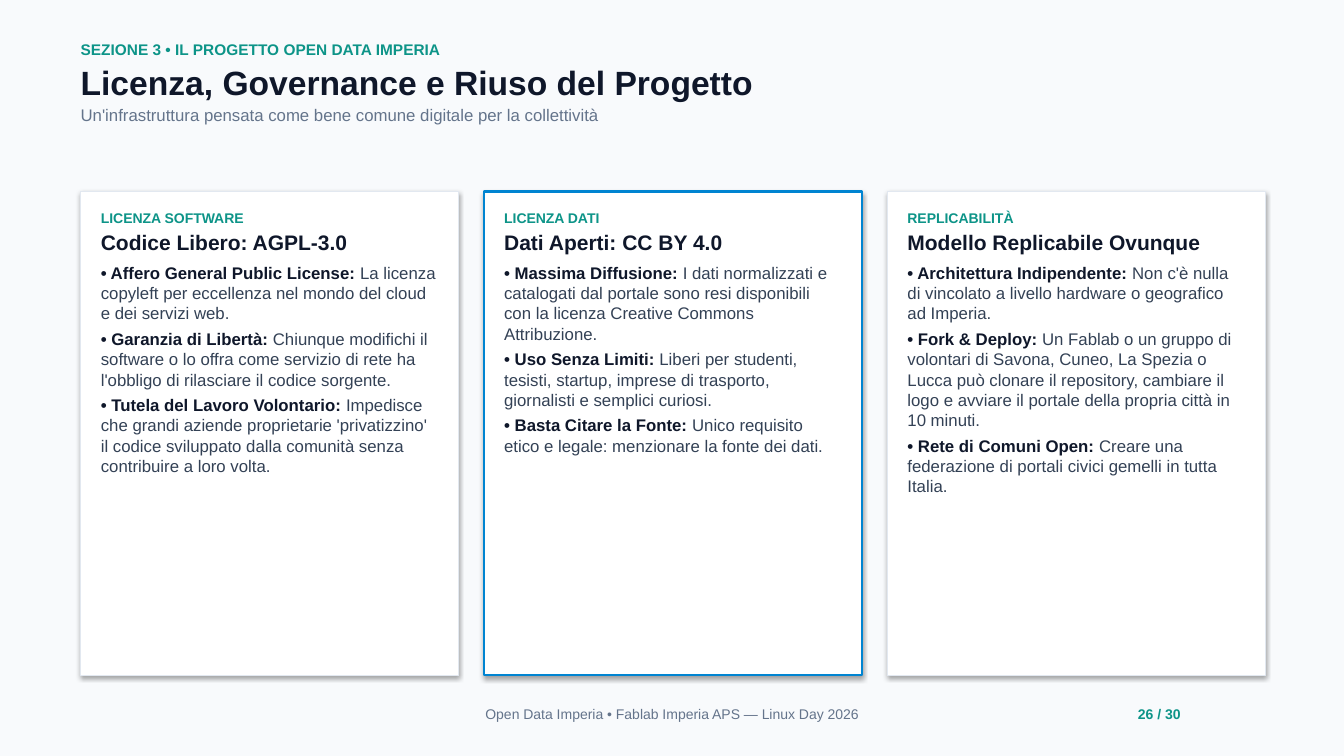
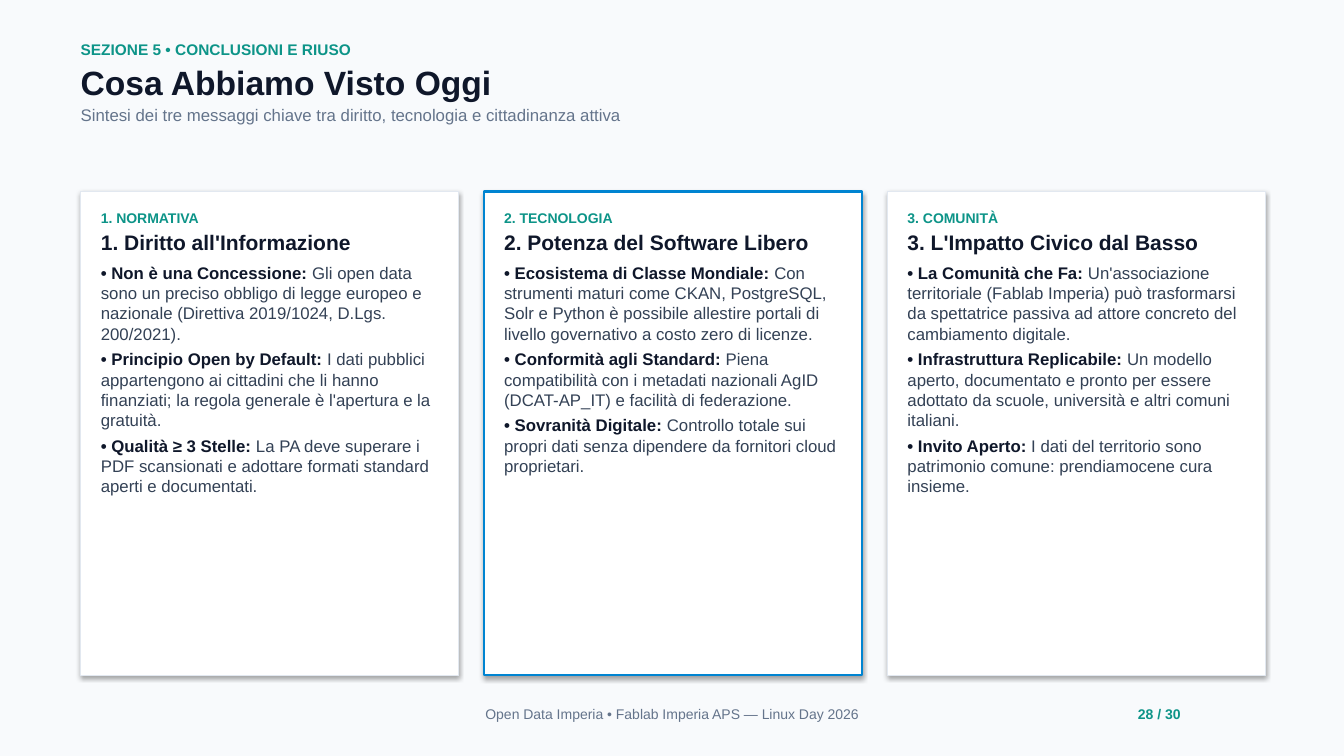
from pptx import Presentation
from pptx.dml.color import RGBColor
from pptx.enum.shapes import MSO_SHAPE
from pptx.enum.text import MSO_AUTO_SIZE, PP_ALIGN
from pptx.util import Inches, Pt

RECT = MSO_SHAPE.RECTANGLE
GROW = MSO_AUTO_SIZE.SHAPE_TO_FIT_TEXT
LEFT, CENTER, RIGHT = PP_ALIGN.LEFT, PP_ALIGN.CENTER, PP_ALIGN.RIGHT

PAPER = RGBColor(0xF8, 0xFA, 0xFC)
WHITE = RGBColor(0xFF, 0xFF, 0xFF)
TEAL = RGBColor(0x0D, 0x94, 0x88)
INK = RGBColor(0x0F, 0x17, 0x2A)
SLATE = RGBColor(0x33, 0x41, 0x55)
MUTED = RGBColor(0x64, 0x74, 0x8B)
BORDER = RGBColor(0xE2, 0xE8, 0xF0)
BLUE = RGBColor(0x00, 0x84, 0xD1)

FONT = "Arial"
STYLES = {
    "section": {"size": Pt(11), "bold": True, "color": TEAL},
    "title": {"size": Pt(24), "bold": True, "color": INK},
    "subtitle": {"size": Pt(12), "bold": False, "color": MUTED},
    "tag": {"size": Pt(10), "bold": True, "color": TEAL},
    "heading": {"size": Pt(15), "bold": True, "color": INK},
    "lead": {"size": Pt(12), "bold": True, "color": INK},
    "body": {"size": Pt(12), "bold": False, "color": SLATE},
    "footer": {"size": Pt(10), "bold": False, "color": MUTED},
    "page": {"size": Pt(10), "bold": True, "color": TEAL},
}

SLIDE_W, SLIDE_H = 13.33, 7.5
MARGIN = 0.8
CARD_TOP, CARD_W, CARD_H, CARD_GAP = 1.9, 3.75, 4.8, 0.25
PAD_X, PAD_Y = 0.2, 0.18
FOOTER_W, PAGE_W, PAGE_RIGHT = 4.2, 0.8, 11.71
FOOTER = "Open Data Imperia • Fablab Imperia APS — Linux Day 2026"
TOTAL = 30

SLIDES = [
    {
        "page": 26,
        "section": "SEZIONE 3 • IL PROGETTO OPEN DATA IMPERIA",
        "title": "Licenza, Governance e Riuso del Progetto",
        "subtitle": "Un'infrastruttura pensata come bene comune digitale per la collettività",
        "cards": [
            ("LICENZA SOFTWARE", "Codice Libero: AGPL-3.0", [
                ("Affero General Public License",
                 "La licenza copyleft per eccellenza nel mondo del cloud e dei servizi web."),
                ("Garanzia di Libertà",
                 "Chiunque modifichi il software o lo offra come servizio di rete ha "
                 "l'obbligo di rilasciare il codice sorgente."),
                ("Tutela del Lavoro Volontario",
                 "Impedisce che grandi aziende proprietarie 'privatizzino' il codice "
                 "sviluppato dalla comunità senza contribuire a loro volta."),
            ]),
            ("LICENZA DATI", "Dati Aperti: CC BY 4.0", [
                ("Massima Diffusione",
                 "I dati normalizzati e catalogati dal portale sono resi disponibili "
                 "con la licenza Creative Commons Attribuzione."),
                ("Uso Senza Limiti",
                 "Liberi per studenti, tesisti, startup, imprese di trasporto, "
                 "giornalisti e semplici curiosi."),
                ("Basta Citare la Fonte",
                 "Unico requisito etico e legale: menzionare la fonte dei dati."),
            ]),
            ("REPLICABILITÀ", "Modello Replicabile Ovunque", [
                ("Architettura Indipendente",
                 "Non c'è nulla di vincolato a livello hardware o geografico ad Imperia."),
                ("Fork & Deploy",
                 "Un Fablab o un gruppo di volontari di Savona, Cuneo, La Spezia o Lucca "
                 "può clonare il repository, cambiare il logo e avviare il portale della "
                 "propria città in 10 minuti."),
                ("Rete di Comuni Open",
                 "Creare una federazione di portali civici gemelli in tutta Italia."),
            ]),
        ],
    },
    {
        "page": 28,
        "section": "SEZIONE 5 • CONCLUSIONI E RIUSO",
        "title": "Cosa Abbiamo Visto Oggi",
        "subtitle": "Sintesi dei tre messaggi chiave tra diritto, tecnologia e cittadinanza attiva",
        "cards": [
            ("1. NORMATIVA", "1. Diritto all'Informazione", [
                ("Non è una Concessione",
                 "Gli open data sono un preciso obbligo di legge europeo e nazionale "
                 "(Direttiva 2019/1024, D.Lgs. 200/2021)."),
                ("Principio Open by Default",
                 "I dati pubblici appartengono ai cittadini che li hanno finanziati; "
                 "la regola generale è l'apertura e la gratuità."),
                ("Qualità ≥ 3 Stelle",
                 "La PA deve superare i PDF scansionati e adottare formati standard "
                 "aperti e documentati."),
            ]),
            ("2. TECNOLOGIA", "2. Potenza del Software Libero", [
                ("Ecosistema di Classe Mondiale",
                 "Con strumenti maturi come CKAN, PostgreSQL, Solr e Python è possibile "
                 "allestire portali di livello governativo a costo zero di licenze."),
                ("Conformità agli Standard",
                 "Piena compatibilità con i metadati nazionali AgID (DCAT-AP_IT) e "
                 "facilità di federazione."),
                ("Sovranità Digitale",
                 "Controllo totale sui propri dati senza dipendere da fornitori cloud "
                 "proprietari."),
            ]),
            ("3. COMUNITÀ", "3. L'Impatto Civico dal Basso", [
                ("La Comunità che Fa",
                 "Un'associazione territoriale (Fablab Imperia) può trasformarsi da "
                 "spettatrice passiva ad attore concreto del cambiamento digitale."),
                ("Infrastruttura Replicabile",
                 "Un modello aperto, documentato e pronto per essere adottato da scuole, "
                 "università e altri comuni italiani."),
                ("Invito Aperto",
                 "I dati del territorio sono patrimonio comune: prendiamocene cura insieme."),
            ]),
        ],
    },
]


def add_text(s, x, y, w, h, paragraphs, align=LEFT):
    tf = s.shapes.add_textbox(Inches(x), Inches(y), Inches(w), Inches(h)).text_frame
    frame = {"word_wrap": True, "auto_size": GROW, "margin_left": 0,
             "margin_right": 0, "margin_top": 0, "margin_bottom": 0}
    for name, value in frame.items():
        setattr(tf, name, value)
    for i, (after, runs) in enumerate(paragraphs):
        p = tf.add_paragraph() if i else tf.paragraphs[0]
        p.alignment = align
        p.space_after = Pt(after)
        for text, style in runs:
            r = p.add_run()
            r.text = text
            r.font.name = FONT
            for name, value in STYLES[style].items():
                if name == "color":
                    r.font.color.rgb = value
                else:
                    setattr(r.font, name, value)


def add_header(s, x, y, w, content):
    add_text(s, x, y, w, 0.84, [
        (after, [(content[style], style)])
        for style, after in (("section", 2), ("title", 2), ("subtitle", 0))
    ])


def add_card(s, x, y, w, h, card, highlighted):
    sp = s.shapes.add_shape(RECT, Inches(x), Inches(y), Inches(w), Inches(h))
    sp.fill.solid()
    sp.fill.fore_color.rgb = WHITE
    sp.line.color.rgb = BLUE if highlighted else BORDER
    sp.line.width = Pt(1.5 if highlighted else 1)
    tag, heading, points = card
    paragraphs = [(2, [(tag, "tag")]), (6, [(heading, "heading")])]
    paragraphs += [(4, [(f"• {lead}: ", "lead"), (body, "body")]) for lead, body in points]
    add_text(s, x + PAD_X, y + PAD_Y, w - 2 * PAD_X, 2.64, paragraphs)


def add_footer(s, y, page):
    add_text(s, (SLIDE_W - FOOTER_W) / 2, y, FOOTER_W, 0.17,
             [(0, [(FOOTER, "footer")])], CENTER)
    add_text(s, PAGE_RIGHT - PAGE_W, y, PAGE_W, 0.17,
             [(0, [(f"{page} / {TOTAL}", "page")])], RIGHT)


def add_cards_slide(prs, content):
    s = prs.slides.add_slide(prs.slide_layouts[6])
    s.background.fill.solid()
    s.background.fill.fore_color.rgb = PAPER
    add_header(s, MARGIN, 0.4, SLIDE_W - 2 * MARGIN, content)
    for i, card in enumerate(content["cards"]):
        x = MARGIN + i * (CARD_W + CARD_GAP)
        add_card(s, x, CARD_TOP, CARD_W, CARD_H, card, i == 1)
    add_footer(s, 7, content["page"])


def main():
    prs = Presentation()
    prs.slide_width, prs.slide_height = Inches(SLIDE_W), Inches(SLIDE_H)
    for content in SLIDES:
        add_cards_slide(prs, content)
    prs.save("out.pptx")


if __name__ == "__main__":
    main()
